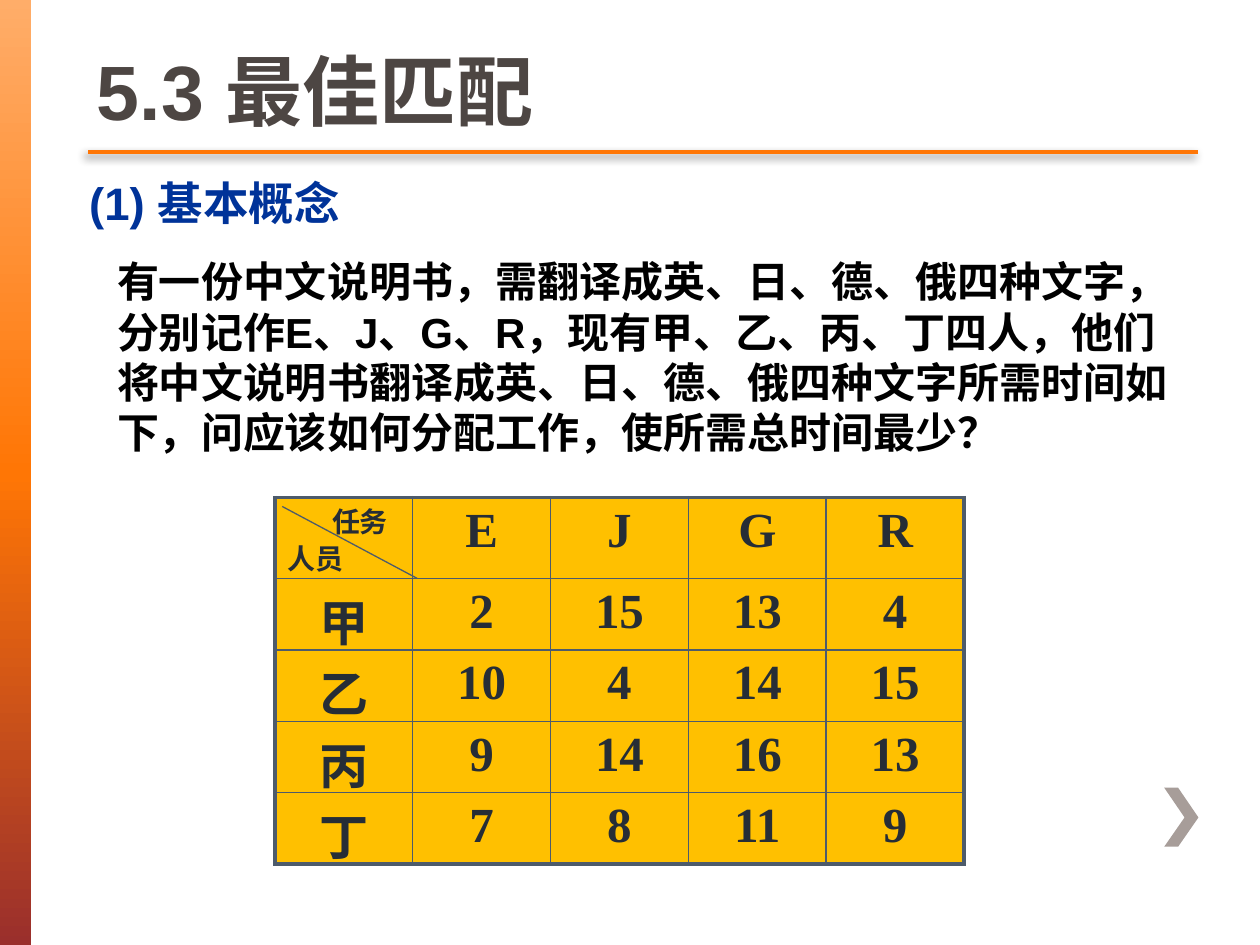
from lxml import etree
from pptx import Presentation
from pptx import util as u
from pptx.dml.color import RGBColor
from pptx.enum import shapes, text
from pptx.oxml.ns import qn

# Content
TITLE = "5.3 最佳匹配"
HEADING = "(1) 基本概念"
PROBLEM = ("有一份中文说明书，需翻译成英、日、德、俄四种文字，分别记作E、J、G、R，"
           "现有甲、乙、丙、丁四人，他们将中文说明书翻译成英、日、德、俄四种文字所需时间如下，"
           "问应该如何分配工作，使所需总时间最少？")
CORNER = ("任务", "人员")
TASKS = ["E", "J", "G", "R"]
TIMES = {"甲": [2, 15, 13, 4], "乙": [10, 4, 14, 15],
         "丙": [9, 14, 16, 13], "丁": [7, 8, 11, 9]}

COLORS = {"title": "4D4643", "outline": "675D59", "heading": "003399", "body": "000000",
          "cell": "FFC000", "ink": "262D36", "grid": "4D5B6B",
          "accent": "FF7605", "light": "FFAD69", "dark": "9A2F2C", "chevron": "A79D99"}
LEFT, TOP = 5.54, 10.03           # table corner, cm
COL_W, HEAD_H, ROW_H = 2.78, 1.63, 1.44


def rgb(name):
    return RGBColor.from_string(COLORS[name])


def sub(parent, tag, **attrs):
    return etree.SubElement(parent, qn(tag), {k: str(v) for k, v in attrs.items()})


def solid(parent, name, alpha=None):
    clr = sub(sub(parent, "a:solidFill"), "a:srgbClr", val=COLORS[name])
    if alpha:
        sub(clr, "a:alpha", val=alpha)


def write(p, content, size, color, font="Arial", align=text.PP_ALIGN.LEFT, spacing=None):
    p.alignment = align
    if spacing:
        p.line_spacing = spacing
    r = p.add_run()
    r.text = content
    f = r.font
    f.name, f.size, f.bold = font, u.Pt(size), True
    f.color.rgb = rgb(color)
    return r


def text_box(s, box, content, size, color, **fmt):
    tf = s.shapes.add_textbox(*map(u.Cm, box)).text_frame
    tf.word_wrap = True
    write(tf.paragraphs[0], content, size, color, **fmt)
    return tf


def line(s, start, end, color, width):
    c = s.shapes.add_connector(shapes.MSO_CONNECTOR.STRAIGHT, *map(u.Cm, start + end))
    c.line.color.rgb = rgb(color)
    c.line.width = u.Pt(width)
    return sub(c._element.spPr, "a:effectLst")


def borders(cell, row, col, last_row, last_col):
    tc_pr = cell._tc.get_or_add_tcPr()
    outer = {"L": col == 0, "R": col == last_col, "T": row == 0, "B": row == last_row}
    for i, (side, thick) in enumerate(outer.items()):
        ln = etree.Element(qn("a:ln" + side), w=str(u.Pt(2.25 if thick else 1)))
        solid(ln, "grid")
        tc_pr.insert(i, ln)


prs = Presentation()
prs.slide_width, prs.slide_height = u.Cm(25.4), u.Cm(19.05)
s = prs.slides.add_slide(prs.slide_layouts[5])

# Gradient side band
band = s.shapes.add_shape(shapes.MSO_SHAPE.RECTANGLE, 0, 0, u.Cm(0.63), prs.slide_height)
band.shadow.inherit = False
band.line.fill.background()
band.fill.gradient()
band.fill.gradient_angle = 270
stops = band._element.spPr.find(".//" + qn("a:gsLst"))
stops.clear()
for pos, name in ((0, "light"), (50000, "accent"), (100000, "dark")):
    sub(sub(stops, "a:gs", pos=pos), "a:srgbClr", val=COLORS[name])

# Chevron
points = [(23.75, 15.88), (23.47, 15.88), (23.88, 16.48), (23.47, 17.07),
          (23.75, 17.07), (24.16, 16.48)]
start, *rest = [(u.Cm(x), u.Cm(y)) for x, y in points]
builder = s.shapes.build_freeform(*start)
builder.add_line_segments(rest, close=True)
chevron = builder.convert_to_shape()
chevron.shadow.inherit = False
chevron.fill.solid()
chevron.fill.fore_color.rgb = rgb("chevron")
chevron.line.fill.background()

# Title and its rule
effects = line(s, (1.78, 3.07), (24.16, 3.07), "accent", 2.5)
shadow = sub(effects, "a:outerShdw", blurRad=u.Pt(5), dist=u.Pt(3), dir=135 * 60000)
sub(shadow, "a:srgbClr", val="000000").append(etree.Element(qn("a:alpha"), val="45000"))
title = s.shapes.title
title.left, title.top, title.width, title.height = map(u.Cm, (1.7, 0, 22.38, 2.87))
tf = title.text_frame
tf.auto_size = text.MSO_AUTO_SIZE.NONE
tf.vertical_anchor = text.MSO_ANCHOR.BOTTOM
r = write(tf.paragraphs[0], TITLE, 44, "title")
outline = etree.Element(qn("a:ln"), w=str(u.Pt(1)))
solid(outline, "outline")
r.font._element.insert(0, outline)

# Heading and problem
tf = text_box(s, (1.3, 3.53, 13.84, 1.24), HEADING, 26, "heading", spacing=0.9)
p_pr = tf.paragraphs[0]._p.get_or_add_pPr()
p_pr.set("marL", str(u.Cm(0.99)))
p_pr.set("indent", str(u.Cm(-0.74)))
text_box(s, (2.11, 5.03, 22.12, 4.37), PROBLEM, 24, "body")

# Table of times
rows = [[CORNER] + TASKS] + [[name] + times for name, times in TIMES.items()]
n_rows, n_cols = len(rows), len(rows[0])
table = s.shapes.add_table(n_rows, n_cols, u.Cm(LEFT), u.Cm(TOP), u.Cm(COL_W * n_cols),
                           u.Cm(HEAD_H + ROW_H * (n_rows - 1))).table
for col in table.columns:
    col.width = u.Cm(COL_W)
for i, values in enumerate(rows):
    table.rows[i].height = u.Cm(ROW_H if i else HEAD_H)
    for j, value in enumerate(values):
        cell = table.cell(i, j)
        cell.margin_bottom = 0
        cell.fill.solid()
        cell.fill.fore_color.rgb = rgb("cell")
        borders(cell, i, j, n_rows - 1, n_cols - 1)
        p = cell.text_frame.paragraphs[0]
        if value is CORNER:
            write(p, CORNER[0], 16, "ink", "Times New Roman", spacing=0.9)
            p._p.get_or_add_pPr().set("marL", str(u.Cm(0.9)))
            write(cell.text_frame.add_paragraph(), CORNER[1], 16, "ink",
                  "Times New Roman", spacing=0.9)
        else:
            write(p, str(value), 28, "ink", "Times New Roman", text.PP_ALIGN.CENTER)

# Diagonal of the corner cell
line(s, (5.69, 10.21), (8.41, 11.66), "grid", 0.75)

prs.save("out.pptx")
